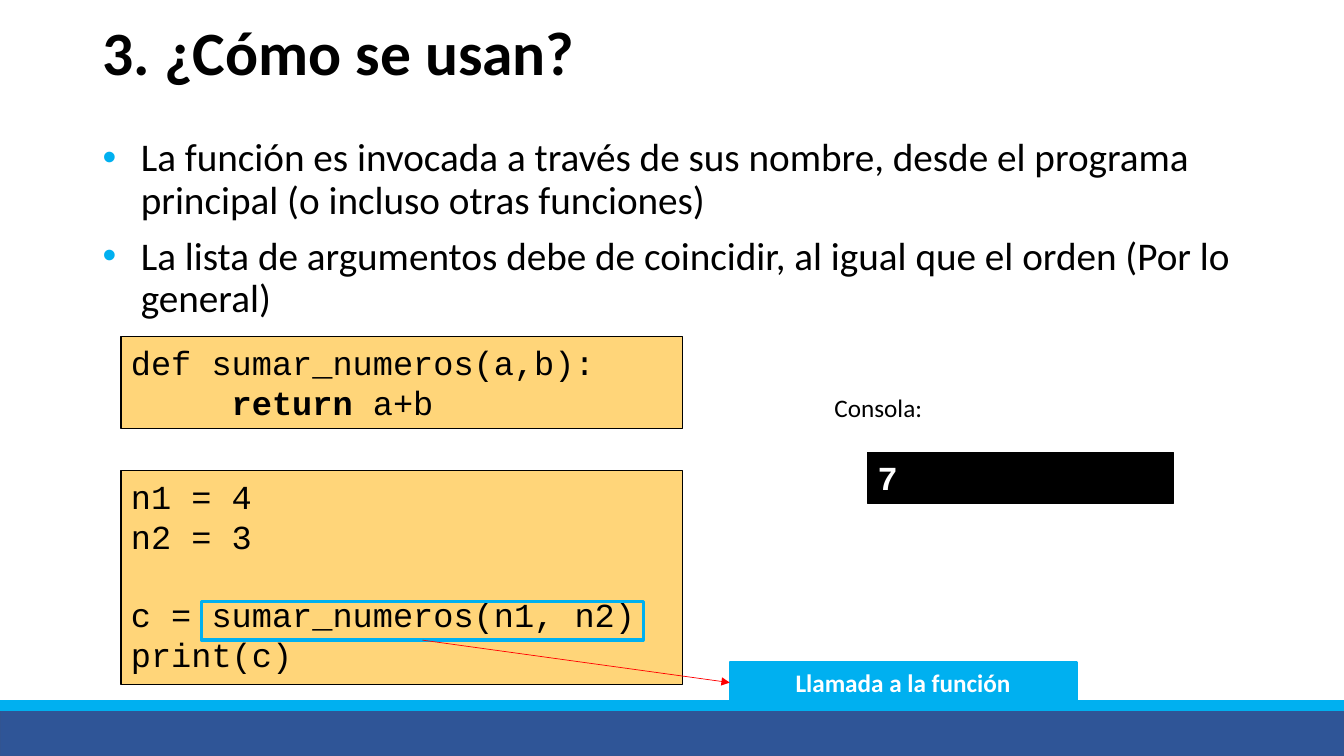
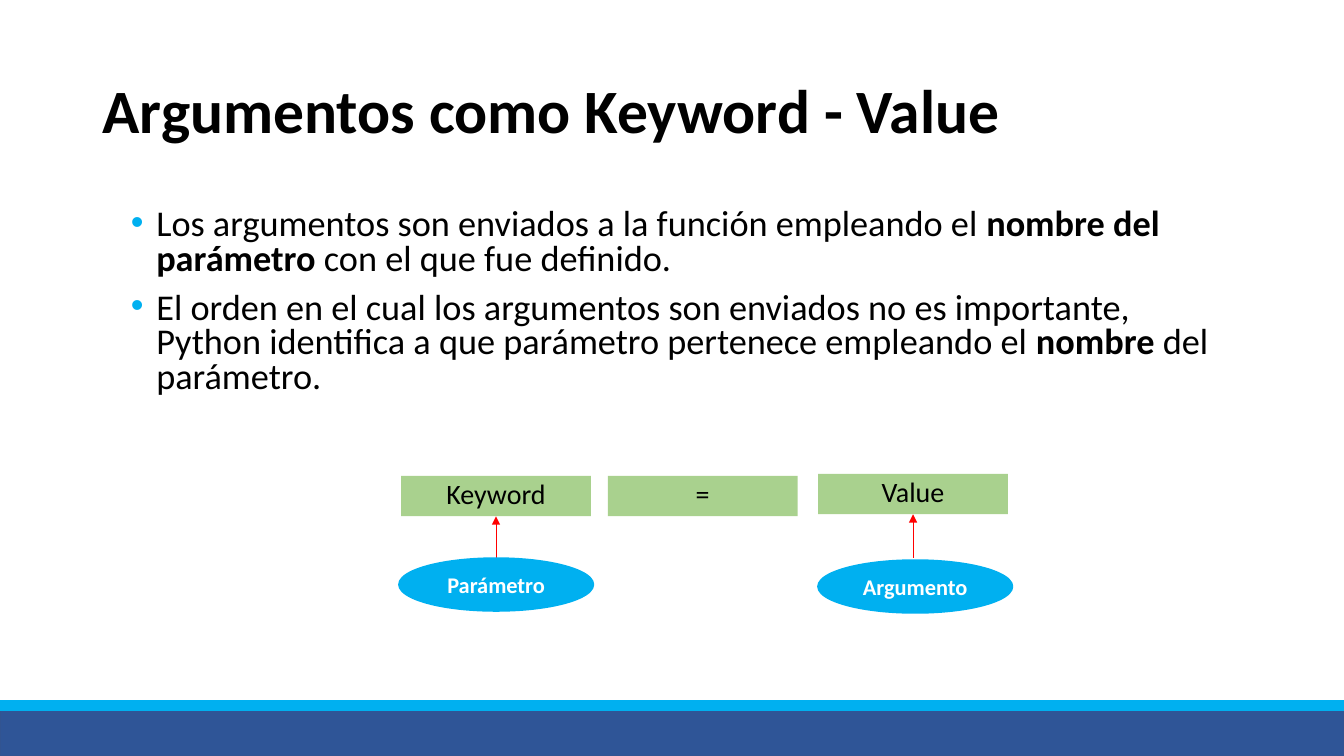
from dataclasses import dataclass, replace

from lxml.etree import SubElement as Sub
from pptx import Presentation as Deck
from pptx.dml.color import RGBColor as Rgb
from pptx.enum.shapes import MSO_CONNECTOR as Link, MSO_SHAPE as Kind
from pptx.enum.text import MSO_ANCHOR as Anchor, PP_ALIGN as Align
from pptx.oxml.ns import qn
from pptx.util import Cm, Pt


@dataclass(frozen=True)
class Theme:
    """Colours, fonts and type sizes of the deck."""
    black: str = "000000"
    white: str = "FFFFFF"
    navy: str = "2F5597"
    rim: str = "325491"
    sky: str = "00B0F0"
    sand: str = "FFD579"
    green: str = "A9D18E"
    red: str = "FF0000"
    sans: str = "Calibri"
    mono: str = "Courier New"
    title: float = 44
    body: float = 28
    dense: float = 25.9
    code: float = 24
    term: float = 20
    label: float = 18
    small: float = 16


T = Theme()


@dataclass(frozen=True)
class Style:
    """Look of a block of text."""
    size: float
    font: str = T.sans
    ink: str = T.black
    bold: bool = False
    align: Align = Align.LEFT
    line: float = 1.0
    before: float = 0
    inset: float = 0


TITLE = Style(T.title, bold=True, line=0.9)
BODY = Style(T.body, line=0.9, before=10, inset=0.96)
DENSE = replace(BODY, size=T.dense, line=0.8, inset=0.64)
CODE = Style(T.code, font=T.mono)
SHELL = replace(CODE, ink=T.white, bold=True)
LABEL = Style(T.label)
TAG = replace(LABEL, ink=T.white, bold=True, align=Align.CENTER)
SMALL = replace(TAG, size=T.small)
TERM = Style(T.term, align=Align.CENTER, line=0.9)


def indent(para, left, first=0):
    """Set the left margin and first-line indent in centimetres."""
    props = para._p.get_or_add_pPr()
    props.set("marL", str(Cm(left)))
    props.set("indent", str(Cm(first)))
    return props


def bullet(para, inset):
    """Give a paragraph a hanging sky-blue bullet."""
    props = indent(para, inset, -inset)
    tint = Sub(props, qn("a:buClr"))
    Sub(tint, qn("a:srgbClr"), val=T.sky)
    Sub(props, qn("a:buFont"), typeface="Arial")
    Sub(props, qn("a:buChar"), char="•")


def write(shape, lines, style):
    """Fill a shape with lines of runs; a run in a tuple is bold."""
    frame = shape.text_frame
    frame.word_wrap = True
    frame.vertical_anchor = Anchor.TOP
    for pos, runs in enumerate(lines):
        para = frame.add_paragraph() if pos else frame.paragraphs[0]
        para.alignment = style.align
        para.line_spacing = style.line
        para.space_before = Pt(style.before)
        if style.inset:
            bullet(para, style.inset)
        for item in runs:
            strong = isinstance(item, tuple)
            run = para.add_run()
            run.text = item[0] if strong else item
            font = run.font
            font.name, font.size = style.font, Pt(style.size)
            font.bold = style.bold or strong
            font.color.rgb = Rgb.from_string(style.ink)
    return frame.paragraphs


def text(slide, at, lines, style):
    """Add a text box."""
    area = slide.shapes.add_textbox(*map(Cm, at))
    write(area, lines, style)
    return area


def box(slide, at, fill=None, edge=None, width=0.75, kind=Kind.RECTANGLE):
    """Add a flat preset shape."""
    shape = slide.shapes.add_shape(kind, *map(Cm, at))
    shape.shadow.inherit = False
    if fill:
        shape.fill.solid()
        shape.fill.fore_color.rgb = Rgb.from_string(fill)
    else:
        shape.fill.background()
    if edge:
        shape.line.color.rgb = Rgb.from_string(edge)
        shape.line.width = Pt(width)
    else:
        shape.line.fill.background()
    return shape


def arrow(slide, start, end, side):
    """Draw a thin red arrow from a point to a side of a shape."""
    wire = slide.shapes.add_connector(Link.STRAIGHT, *start, *start)
    wire.end_connect(end, side)
    wire.line.color.rgb = Rgb.from_string(T.red)
    wire.line.width = Pt(0.5)
    Sub(wire.line._get_or_add_ln(), qn("a:tailEnd"), type="triangle")
    Sub(wire._element.spPr, qn("a:effectLst"))
    return wire


def page(deck, title, top):
    """Add a slide with its footer bands and title."""
    slide = deck.slides.add_slide(deck.slide_layouts[6])
    box(slide, (0, 17.86, 33.87, 1.19), T.navy, T.rim, 1)
    box(slide, (0, 17.65, 33.87, 0.25), T.sky, T.sky, 1)
    head = text(slide, (2.34, top, 29.21, 3.68), [[title]], TITLE)
    head.text_frame.vertical_anchor = Anchor.MIDDLE
    return slide


def usage(deck):
    """Build the slide on how functions are called."""
    slide = page(deck, "3. ¿Cómo se usan?", -0.43)
    text(slide, (2.34, 3.35, 29.21, 12.09), [
        ["La función es invocada a través de sus nombre, desde el programa "
         "principal (o incluso otras funciones)"],
        ["La lista de argumentos debe de coincidir, al igual que el orden "
         "(Por lo general)"],
    ], BODY)

    func = box(slide, (3.05, 8.48, 14.15, 2.31), T.sand, T.black)
    lines = write(func, [["def sumar_numeros(a,b):"],
                         [("return ",), "a+b"]], CODE)
    indent(lines[1], 2.54)

    main_code = box(slide, (3.05, 11.86, 14.15, 5.38), T.sand, T.black)
    lines = write(main_code, [["n1 = 4"], ["n2 = 3"],
                              ["c = sumar_numeros(n1, n2)"],
                              ["print(c)"]], CODE)
    lines[2].space_before = Pt(27)

    shell = box(slide, (21.87, 11.4, 7.7, 1.28), T.black, T.black)
    write(shell, [["7"]], SHELL)
    text(slide, (20.78, 9.75, 11.48, 1.02), [["Consola:"]], LABEL)

    tag = box(slide, (18.39, 16.69, 8.74, 1.02), T.sky, T.sky, 1.5)
    write(tag, [["Llamada a la función"]], TAG)
    call = box(slide, (5.08, 15.16, 11.13, 0.97), None, T.sky, 2.25)
    wire = arrow(slide, (call.left, call.top), tag, 1)
    wire.begin_connect(call, 2)


def keyword(deck):
    """Build the slide on keyword arguments."""
    slide = page(deck, "Argumentos como Keyword - Value", 1.02)
    text(slide, (3.05, 5.13, 27.94, 5.21), [
        ["Los argumentos son enviados a la función empleando el ",
         ("nombre del parámetro",), " con el que fue definido."],
        ["El orden en el cual los argumentos son enviados no es importante, "
         "Python identifica a que parámetro pertenece empleando el ",
         ("nombre",), " del parámetro."],
    ], DENSE)

    terms = []
    for word, left, top in (("Keyword", 10.11, 11.99), ("=", 15.32, 11.99),
                            ("Value", 20.62, 11.94)):
        term = box(slide, (left, top, 4.78, 1.02), T.green)
        write(term, [[word]], TERM)
        terms.append(term)

    for term in terms[::2]:
        arrow(slide, (term.left + term.width // 2, Cm(14.05)), term, 2)

    for word, left, top in (("Parámetro", 10.06, 14.07),
                            ("Argumento", 20.62, 14.12)):
        oval = box(slide, (left, top, 4.89, 1.32), T.sky, T.sky, 1.5,
                   Kind.OVAL)
        write(oval, [[word]], SMALL)


def main():
    """Build and save the deck."""
    deck = Deck()
    deck.slide_width, deck.slide_height = Cm(33.87), Cm(19.05)
    usage(deck)
    keyword(deck)
    deck.save("out.pptx")


if __name__ == "__main__":
    main()
